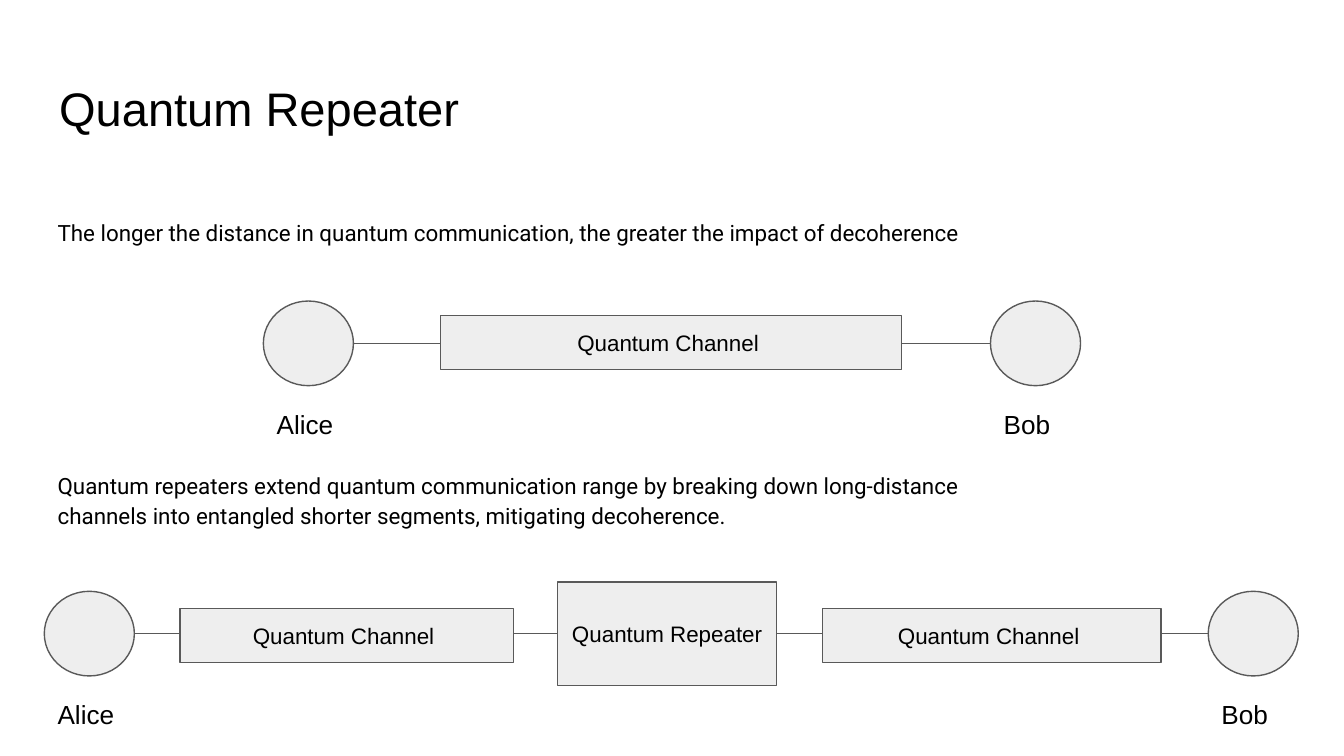
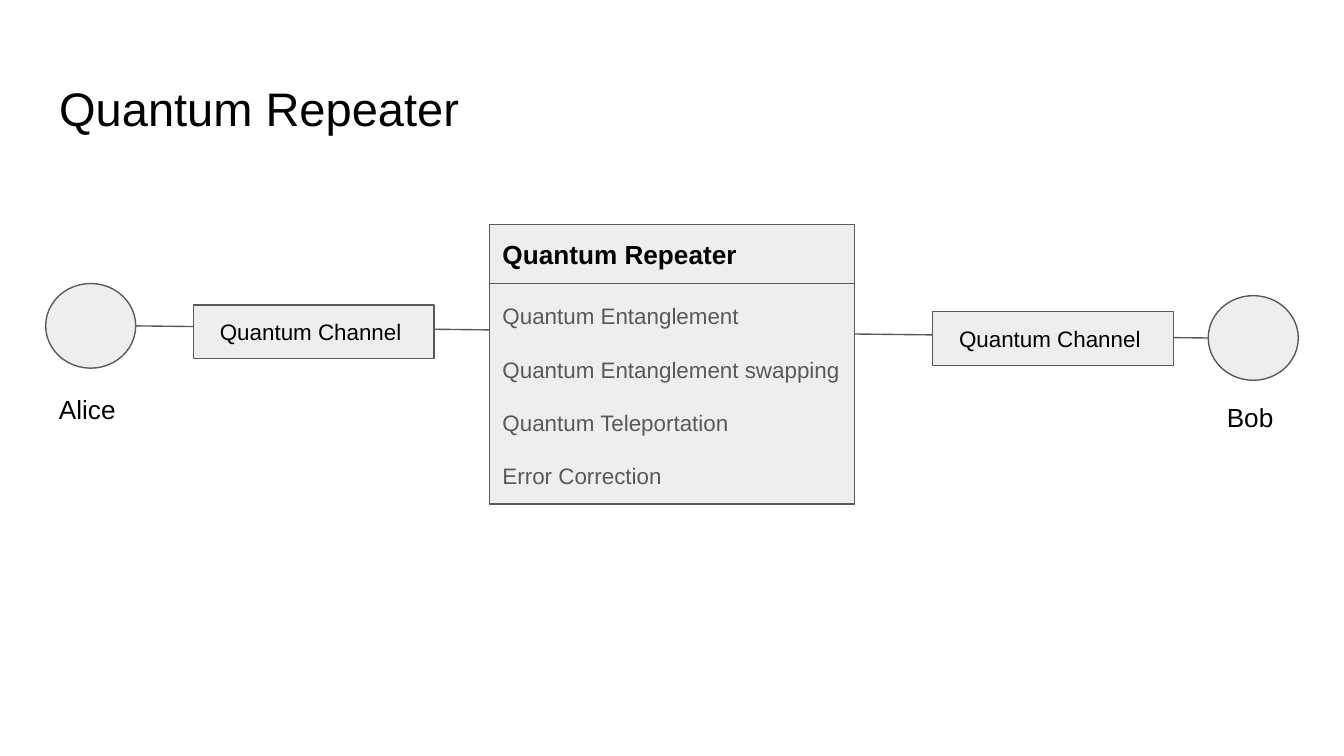
from dataclasses import dataclass

from lxml.etree import SubElement
from pptx import Presentation
from pptx.dml.color import RGBColor
from pptx.enum.shapes import MSO_CONNECTOR, MSO_SHAPE
from pptx.enum.text import MSO_ANCHOR, MSO_AUTO_SIZE, PP_ALIGN
from pptx.oxml.ns import qn
from pptx.util import Inches, Pt


@dataclass(frozen=True)
class Theme:
    # Colours
    background: str = "FFFFFF"
    ink: str = "000000"
    gray: str = "595959"
    panel: str = "EEEEEE"
    # Fonts and sizes
    font: str = "Arial"
    body_font: str = "Roboto"
    title_size: float = 25.2
    label_size: float = 14
    body_size: float = 12
    line_width: float = 0.75
    # Repeated measures
    slide_width: float = 10
    slide_height: float = 10 * 9 / 16
    inset: float = 0.1
    node_width: float = 0.67
    node_height: float = 0.63
    bar_height: float = 0.4
    label_height: float = 0.44


def write_text(shape, text, *, size, color, font, bold=False, align=PP_ALIGN.LEFT,
               anchor=MSO_ANCHOR.TOP, inset=0.1, line_spacing=None, gap=0):
    """Fill a shape with one paragraph per line; gap is the space between them."""
    frame = shape.text_frame
    frame.word_wrap = True
    frame.auto_size = MSO_AUTO_SIZE.NONE
    frame.vertical_anchor = anchor
    frame.margin_left = frame.margin_right = Inches(inset)
    frame.margin_top = frame.margin_bottom = Inches(inset)
    frame.text = text
    for index, paragraph in enumerate(frame.paragraphs):
        paragraph.alignment = align
        paragraph.space_before = Pt(gap if index else 0)
        if line_spacing:
            paragraph.line_spacing = line_spacing
        for run in paragraph.runs:
            run.font.size = Pt(size)
            run.font.name = font
            run.font.bold = bold
            run.font.color.rgb = RGBColor.from_string(color)
    if gap:
        frame.paragraphs[-1].space_after = Pt(gap)


class Deck:
    """Holds the style and the slide being drawn."""

    def __init__(self, theme):
        self.theme = theme
        self.presentation = Presentation()
        self.presentation.slide_width = Inches(theme.slide_width)
        self.presentation.slide_height = Inches(theme.slide_height)
        self.slide = None

    def add_slide(self, title):
        theme = self.theme
        self.slide = self.presentation.slides.add_slide(self.presentation.slide_layouts[5])
        fill = self.slide.background.fill
        fill.solid()
        fill.fore_color.rgb = RGBColor.from_string(theme.background)
        shape = self.slide.shapes.title
        shape.left, shape.top = Inches(0.34), Inches(0.49)
        shape.width, shape.height = Inches(9.32), Inches(0.63)
        write_text(shape, title, size=theme.title_size, color=theme.ink,
                   font=theme.font, inset=theme.inset)

    def text(self, text, left, top, width, height, *, size, font, line_spacing=None):
        box = self.slide.shapes.add_textbox(
            Inches(left), Inches(top), Inches(width), Inches(height))
        write_text(box, text, size=size, color=self.theme.ink, font=font,
                   inset=self.theme.inset, line_spacing=line_spacing)

    def statement(self, text, top, height, line_spacing=None):
        self.text(text, 0.33, top, 7.22, height, size=self.theme.body_size,
                  font=self.theme.body_font, line_spacing=line_spacing)

    def outline(self, line):
        line.color.rgb = RGBColor.from_string(self.theme.gray)
        line.width = Pt(self.theme.line_width)

    def shape(self, kind, left, top, width, height):
        shape = self.slide.shapes.add_shape(
            kind, Inches(left), Inches(top), Inches(width), Inches(height))
        shape.shadow.inherit = False
        shape.fill.solid()
        shape.fill.fore_color.rgb = RGBColor.from_string(self.theme.panel)
        self.outline(shape.line)
        return shape

    def box(self, text, left, top, width, height, **text_format):
        theme = self.theme
        defaults = dict(size=theme.body_size, color=theme.ink, font=theme.font,
                        align=PP_ALIGN.CENTER, anchor=MSO_ANCHOR.MIDDLE, inset=theme.inset)
        shape = self.shape(MSO_SHAPE.RECTANGLE, left, top, width, height)
        write_text(shape, text, **(defaults | text_format))

    def channel(self, left, top, width):
        self.box("Quantum Channel ", left, top, width, self.theme.bar_height)

    def node(self, name, left, top, label_left, label_top):
        theme = self.theme
        self.shape(MSO_SHAPE.OVAL, left, top, theme.node_width, theme.node_height)
        self.text(name, label_left, label_top, theme.node_width, theme.label_height,
                  size=theme.label_size, font=theme.font)

    def link(self, alice, bob):
        """Join the right side of Alice's circle to the left side of Bob's."""
        theme = self.theme
        middle = theme.node_height / 2
        connector = self.slide.shapes.add_connector(
            MSO_CONNECTOR.STRAIGHT,
            Inches(alice[0] + theme.node_width), Inches(alice[1] + middle),
            Inches(bob[0]), Inches(bob[1] + middle))
        self.outline(connector.line)
        SubElement(connector.element.spPr, qn("a:effectLst"))

    def parties(self, alice, bob, alice_label=None, bob_label=None):
        """Draw both ends and their link; labels sit 0.7 below unless placed."""
        for name, spot, label in (("Alice", alice, alice_label), ("Bob", bob, bob_label)):
            self.node(name, *spot, *(label or (spot[0], spot[1] + 0.7)))
        self.link(alice, bob)


def build_distance_slide(deck):
    deck.add_slide("Quantum Repeater")

    # Direct channel
    deck.statement("The longer the distance in quantum communication, "
                   "the greater the impact of decoherence", 1.53, 0.4)
    deck.parties((1.96, 2.24), (7.37, 2.24))
    deck.channel(3.28, 2.35, 3.43)

    # Channel split by a repeater
    deck.statement("Quantum repeaters extend quantum communication range by breaking down "
                   "long-distance channels into entangled shorter segments, "
                   "mitigating decoherence.", 3.38, 0.64, line_spacing=1.15)
    deck.parties((0.33, 4.4), (8.99, 4.4))
    deck.channel(1.34, 4.53, 2.48)
    deck.box("Quantum Repeater ", 4.15, 4.33, 1.63, 0.77)
    deck.channel(6.12, 4.53, 2.52)


def build_functions_slide(deck):
    theme = deck.theme
    deck.add_slide("Quantum Repeater")
    deck.parties((0.34, 2.11), (8.99, 2.2), (0.34, 2.83), (9.03, 2.89))

    # Repeater panel: functions below, heading above
    functions = ["Quantum Entanglement", "Quantum Entanglement swapping",
                 "Quantum Teleportation", "Error Correction"]
    left, top, width, heading_height = 3.64, 1.67, 2.72, 0.44
    deck.box("\n".join(functions), left, top + heading_height, width, 1.64,
             color=theme.gray, align=PP_ALIGN.LEFT, line_spacing=1.15, gap=12)
    deck.box("Quantum Repeater", left, top, width, heading_height,
             size=theme.label_size, bold=True, align=PP_ALIGN.LEFT)

    # Channels on either side
    deck.channel(1.44, 2.27, 1.79)
    deck.channel(6.94, 2.32, 1.79)


def main():
    deck = Deck(Theme())
    build_distance_slide(deck)
    build_functions_slide(deck)
    deck.presentation.save("out.pptx")


if __name__ == "__main__":
    main()
